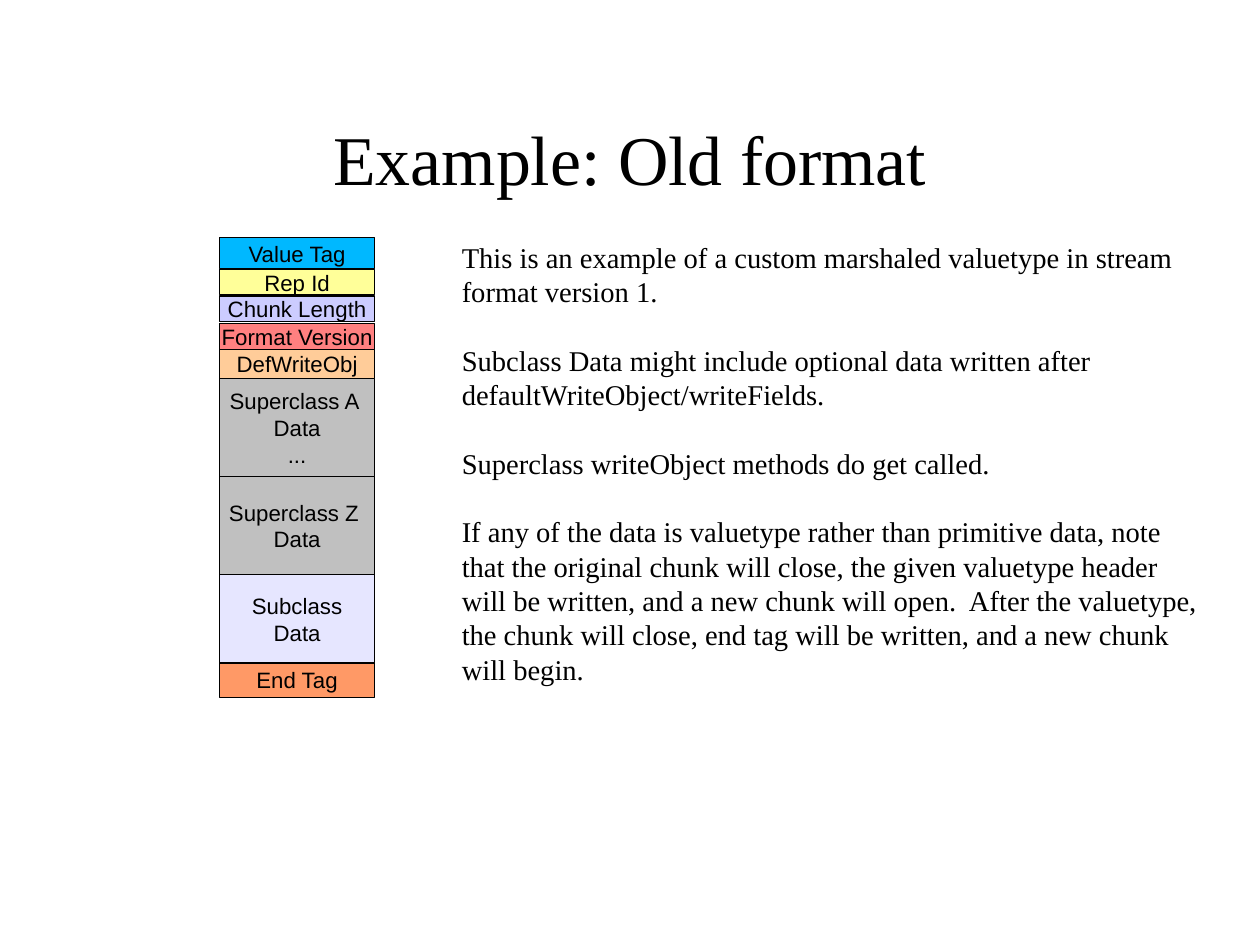
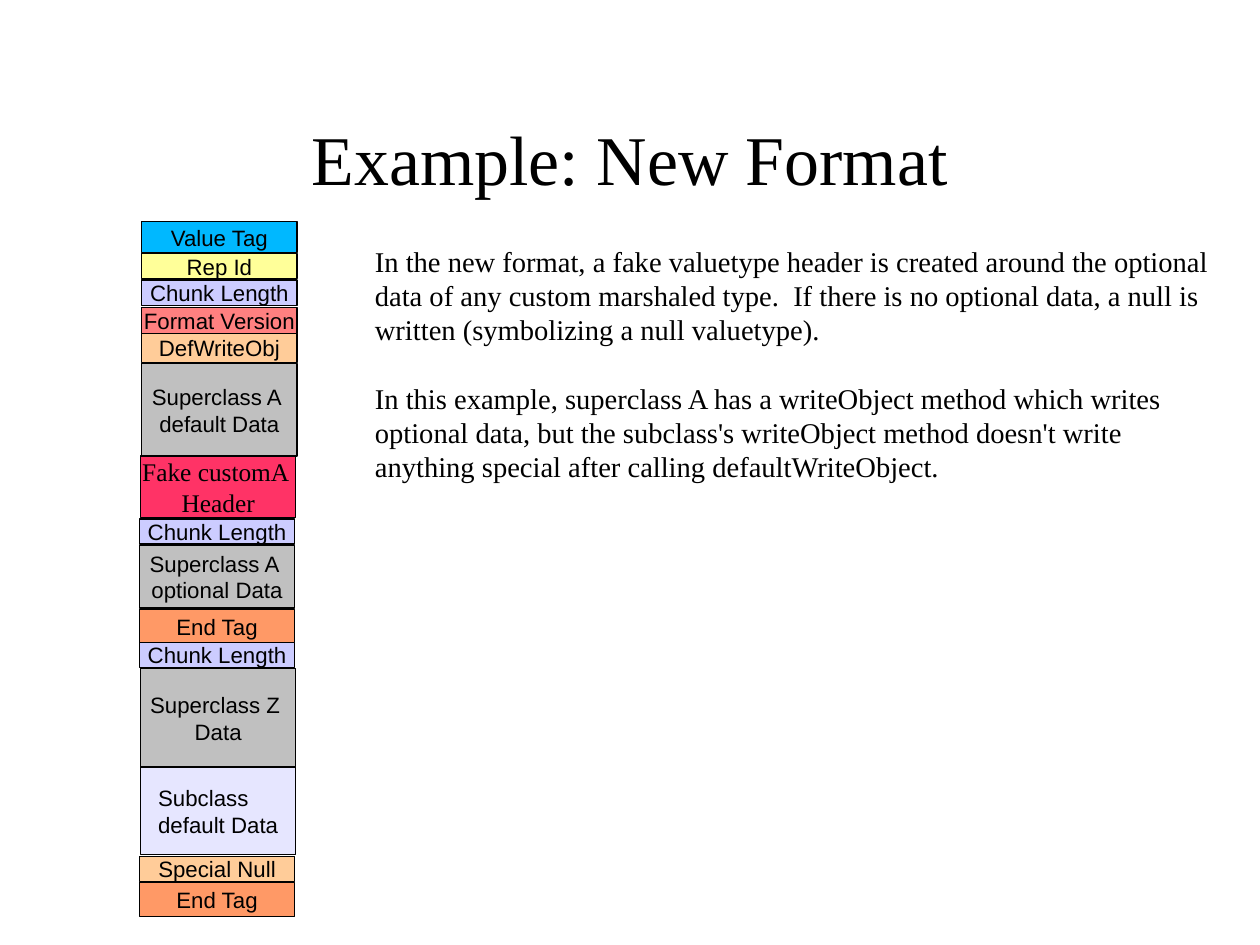
"""Build two slides comparing the old and new valuetype stream formats."""

import dataclasses

import pptx
import pptx.dml.color
import pptx.enum.shapes
import pptx.enum.text
import pptx.oxml.ns
import pptx.presentation
import pptx.shapes.base
import pptx.slide
import pptx.text.text
import pptx.util
from lxml import etree

Inches = pptx.util.Inches
Align = pptx.enum.text.PP_ALIGN
Anchor = pptx.enum.text.MSO_ANCHOR

SERIF = "Times New Roman"
SANS = "Arial"
BLACK = "000000"
BLUE = "00B8FF"
YELLOW = "FFFF99"
LILAC = "CCCCFF"
RED = "FF8080"
PEACH = "FFCC99"
GREY = "C0C0C0"
PALE = "E6E6FF"
ORANGE = "FF9966"
CRIMSON = "FF3366"

PAGE_WIDTH = pptx.util.Emu(10080625)
PAGE_HEIGHT = pptx.util.Emu(7559675)
BAND_WIDTH = 1.36
TITLE_BOX = (0.81, 0.69, 9.41, 1.38)


@dataclasses.dataclass(frozen=True)
class Band:
    """One field of the stream, with the gap that follows it."""

    label: str
    fill: str
    height: float
    gap: float = 0
    nudge: float = 0
    font: str = SANS
    size: int = 14


@dataclasses.dataclass(frozen=True)
class Example:
    """The content of one slide."""

    title: str
    left: float
    top: float
    bands: tuple[Band, ...]
    body: str
    body_box: tuple[float, float, float, float]


HEADER = (
    Band("Value Tag", BLUE, 0.27, gap=0.01),
    Band("Rep Id", YELLOW, 0.22, gap=0.01),
    Band("Chunk Length", LILAC, 0.22, gap=0.02),
    Band("Format Version", RED, 0.23),
)

EXAMPLES = (
    Example(
        title="Example: Old format",
        left=1.92,
        top=2.08,
        bands=HEADER + (
            Band("DefWriteObj", PEACH, 0.25),
            Band("Superclass A \nData\n...", GREY, 0.86),
            Band("Superclass Z \nData", GREY, 0.86),
            Band("Subclass\nData", PALE, 0.77),
            Band("End Tag", ORANGE, 0.3),
        ),
        body=(
            "This is an example of a custom marshaled valuetype in stream "
            "format version 1.\n"
            "Subclass Data might include optional data written after "
            "defaultWriteObject/writeFields.\n"
            "Superclass writeObject methods do get called.\n"
            "If any of the data is valuetype rather than primitive data, note "
            "that the original chunk will close, the given valuetype header "
            "will be written, and a new chunk will open.  After the valuetype, "
            "the chunk will close, end tag will be written, and a new chunk "
            "will begin."
        ),
        body_box=(4.04, 2.1, 6.46, 5.1),
    ),
    Example(
        title="Example: New Format",
        left=1.24,
        top=1.94,
        bands=HEADER + (
            Band("DefWriteObj", PEACH, 0.25, gap=0.01),
            Band("Superclass A \ndefault Data", GREY, 0.81),
            Band("Fake customA \nHeader", CRIMSON, 0.54, gap=0.01,
                 nudge=-0.01, font=SERIF, size=16),
            Band("Chunk Length", LILAC, 0.22, gap=0.01, nudge=-0.02),
            Band("Superclass A \noptional Data", GREY, 0.55, gap=0.01, nudge=-0.02),
            Band("End Tag", ORANGE, 0.3, gap=-0.01, nudge=-0.02),
            Band("Chunk Length", LILAC, 0.22, gap=0.01, nudge=-0.02),
            Band("Superclass Z \nData", GREY, 0.86, nudge=-0.01),
            Band("Subclass\ndefault Data", PALE, 0.77, gap=0.01, nudge=-0.01),
            Band("Special Null", PEACH, 0.22, gap=0.01, nudge=-0.02),
            Band("End Tag", ORANGE, 0.3, nudge=-0.02),
        ),
        body=(
            "In the new format, a fake valuetype header is created around the "
            "optional data of any custom marshaled type.  If there is no "
            "optional data, a null is written (symbolizing a null valuetype).\n"
            "In this example, superclass A has a writeObject method which "
            "writes optional data, but the subclass's writeObject method "
            "doesn't write anything special after calling defaultWriteObject."
        ),
        body_box=(3.28, 2.13, 7.34, 3.4),
    ),
)


def colour(value: str) -> pptx.dml.color.RGBColor:
    """Turn a hex string into a colour."""
    return pptx.dml.color.RGBColor.from_string(value)


def write(
    frame: pptx.text.text.TextFrame,
    text: str,
    *,
    font: str,
    size: int,
    align: Align = Align.LEFT,
    lead: Align | None = None,
    anchor: Anchor = Anchor.MIDDLE,
    wrap: bool = True,
    after: float = 0,
) -> None:
    """Fill a frame with one formatted paragraph for each line of text."""
    frame.margin_left = frame.margin_right = 0
    frame.margin_top = frame.margin_bottom = 0
    frame.vertical_anchor = anchor
    frame.auto_size = pptx.enum.text.MSO_AUTO_SIZE.NONE
    frame.word_wrap = wrap
    for index, line in enumerate(text.split("\n")):
        para = frame.add_paragraph() if index else frame.paragraphs[0]
        para.alignment = lead if lead is not None and index == 0 else align
        para.space_before = pptx.util.Pt(0)
        para.space_after = pptx.util.Pt(after)
        span = para.add_run()
        span.text = line
        span.font.name = font
        span.font.size = pptx.util.Pt(size)
        span.font.color.rgb = colour(BLACK)


def place(
    box: pptx.shapes.base.BaseShape, bounds: tuple[float, float, float, float]
) -> None:
    """Move and size a placeholder."""
    box.left, box.top, box.width, box.height = map(Inches, bounds)


def remove_bullets(frame: pptx.text.text.TextFrame) -> None:
    """Set the paragraphs flush left without bullets."""
    for para in frame.paragraphs:
        properties = para._p.get_or_add_pPr()
        properties.set("marL", "0")
        properties.set("indent", "0")
        etree.SubElement(properties, pptx.oxml.ns.qn("a:buNone"))


def draw_bands(page: pptx.slide.Slide, example: Example) -> None:
    """Stack the fields of the stream from top to bottom in one group."""
    group = page.shapes.add_group_shape()
    top = example.top
    for band in example.bands:
        box = group.shapes.add_shape(
            pptx.enum.shapes.MSO_SHAPE.RECTANGLE,
            Inches(example.left + band.nudge),
            Inches(top),
            Inches(BAND_WIDTH),
            Inches(band.height),
        )
        box.shadow.inherit = False
        box.fill.solid()
        box.fill.fore_color.rgb = colour(band.fill)
        box.line.color.rgb = colour(BLACK)
        box.line.width = pptx.util.Pt(0)
        write(box.text_frame, band.label, font=band.font, size=band.size,
              align=Align.CENTER, lead=Align.LEFT, wrap=False)
        box.text_frame._txBody.bodyPr.set("anchorCtr", "1")
        top += band.height + band.gap


def draw_page(deck: pptx.presentation.Presentation, example: Example) -> None:
    """Add one slide with its title, stream diagram and explanation."""
    page = deck.slides.add_slide(deck.slide_layouts[1])
    title, body = page.placeholders
    place(title, TITLE_BOX)
    write(title.text_frame, example.title, font=SERIF, size=44, align=Align.CENTER)
    draw_bands(page, example)
    place(body, example.body_box)
    write(body.text_frame, example.body, font=SERIF, size=18,
          anchor=Anchor.TOP, after=21.6)
    remove_bullets(body.text_frame)


def main() -> None:
    """Build and save the deck."""
    deck = pptx.Presentation()
    deck.slide_width = PAGE_WIDTH
    deck.slide_height = PAGE_HEIGHT
    for example in EXAMPLES:
        draw_page(deck, example)
    deck.save("out.pptx")


if __name__ == "__main__":
    main()
